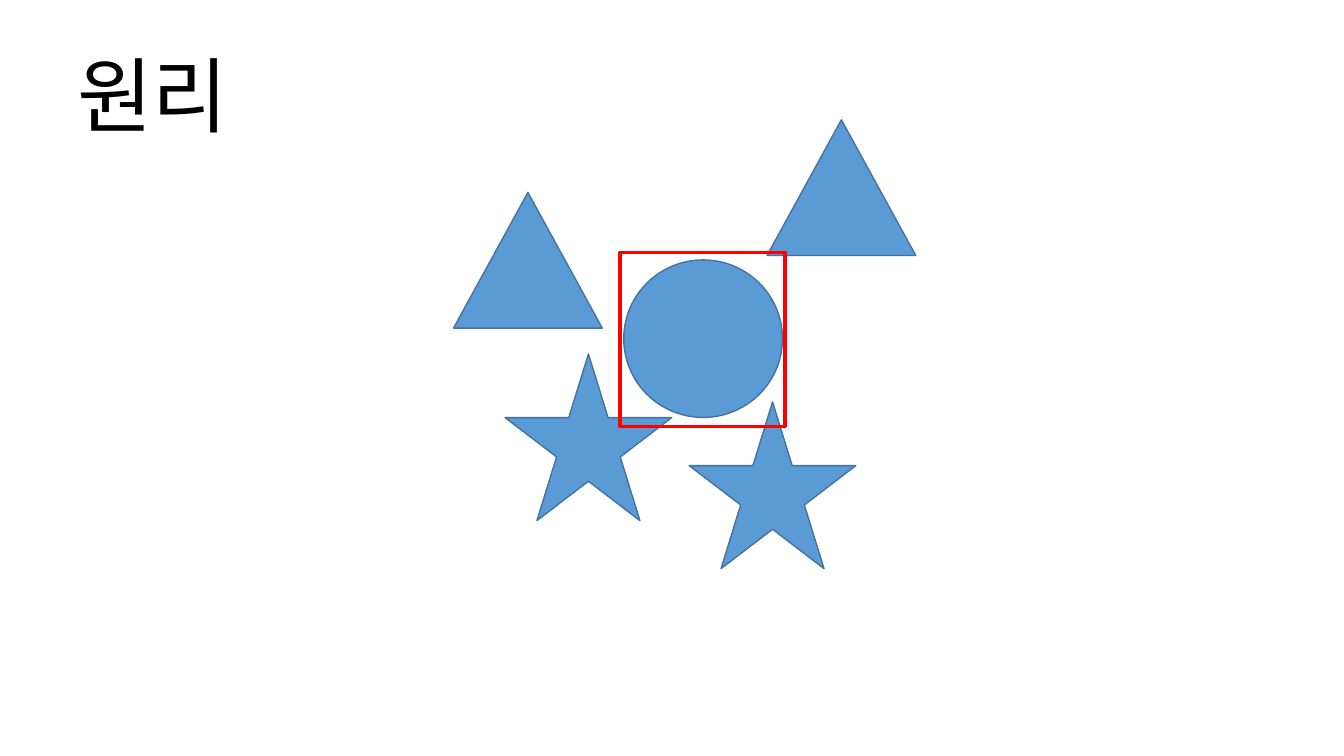
"""Build the slide on the principle of picking one shape out of several."""
from dataclasses import dataclass

from lxml import etree
from pptx import Presentation
from pptx import util as u
from pptx.dml import color
from pptx.enum import shapes, text
from pptx.oxml import ns

MSO = shapes.MSO_SHAPE


@dataclass(frozen=True)
class Theme:
    """Colours, font and sizes of the slide."""

    font: str = "Noto Sans CJK KR"
    title_size: float = 58.6
    ink: str = "000000"
    fill: str = "5B9BD5"
    outline: str = "43739E"
    marker: str = "FF0000"
    outline_width: float = 1
    marker_width: float = 2.5


THEME = Theme()


def rgb(value):
    """Turn a hex string into a colour."""
    return color.RGBColor.from_string(value)


def cm(*lengths):
    """Turn numbers into centimetre lengths."""
    return [u.Cm(n) for n in lengths]


def add_title(s, words, box):
    """Add the title, centred vertically in its box."""
    tf = s.shapes.add_textbox(*cm(*box)).text_frame
    tf.word_wrap = True
    tf.vertical_anchor = text.MSO_ANCHOR.MIDDLE
    p = tf.paragraphs[0]
    p.text = words
    f = p.font
    f.name, f.size = THEME.font, u.Pt(THEME.title_size)
    f.color.rgb = rgb(THEME.ink)
    latin = p._p.pPr.find(ns.qn("a:defRPr")).find(ns.qn("a:latin"))
    latin.addnext(etree.Element(ns.qn("a:ea"), typeface=THEME.font))


def add_figure(s, kind, box, line, width, fill=None):
    """Add a preset shape, unfilled when no fill is given."""
    sp = s.shapes.add_shape(kind, *cm(*box))
    sp.shadow.inherit = False
    if fill:
        sp.fill.solid()
        sp.fill.fore_color.rgb = rgb(fill)
    else:
        sp.fill.background()
    sp.line.color.rgb = rgb(line)
    sp.line.width = u.Pt(width)


def main():
    """Build and save the slide."""
    prs = Presentation()
    prs.slide_width, prs.slide_height = cm(33.87, 19.05)
    s = prs.slides.add_slide(prs.slide_layouts[6])
    add_title(s, "원리", (1.7, 0.76, 30.48, 3.18))
    triangle, star = (3.75, 3.42), (4.2, 4.2)
    figures = [
        (MSO.OVAL, (15.72, 6.55), (4, 3.97)),
        (MSO.ISOSCELES_TRIANGLE, (11.43, 4.85), triangle),
        (MSO.STAR_5_POINT, (17.37, 10.13), star),
        (MSO.STAR_5_POINT, (12.73, 8.92), star),
        (MSO.ISOSCELES_TRIANGLE, (19.33, 3.02), triangle),
    ]
    for kind, place, size in figures:
        add_figure(s, kind, place + size, THEME.outline, THEME.outline_width, THEME.fill)
    add_figure(s, MSO.RECTANGLE, (15.62, 6.36, 4.17, 4.39), THEME.marker, THEME.marker_width)
    prs.save("out.pptx")


if __name__ == "__main__":
    main()
